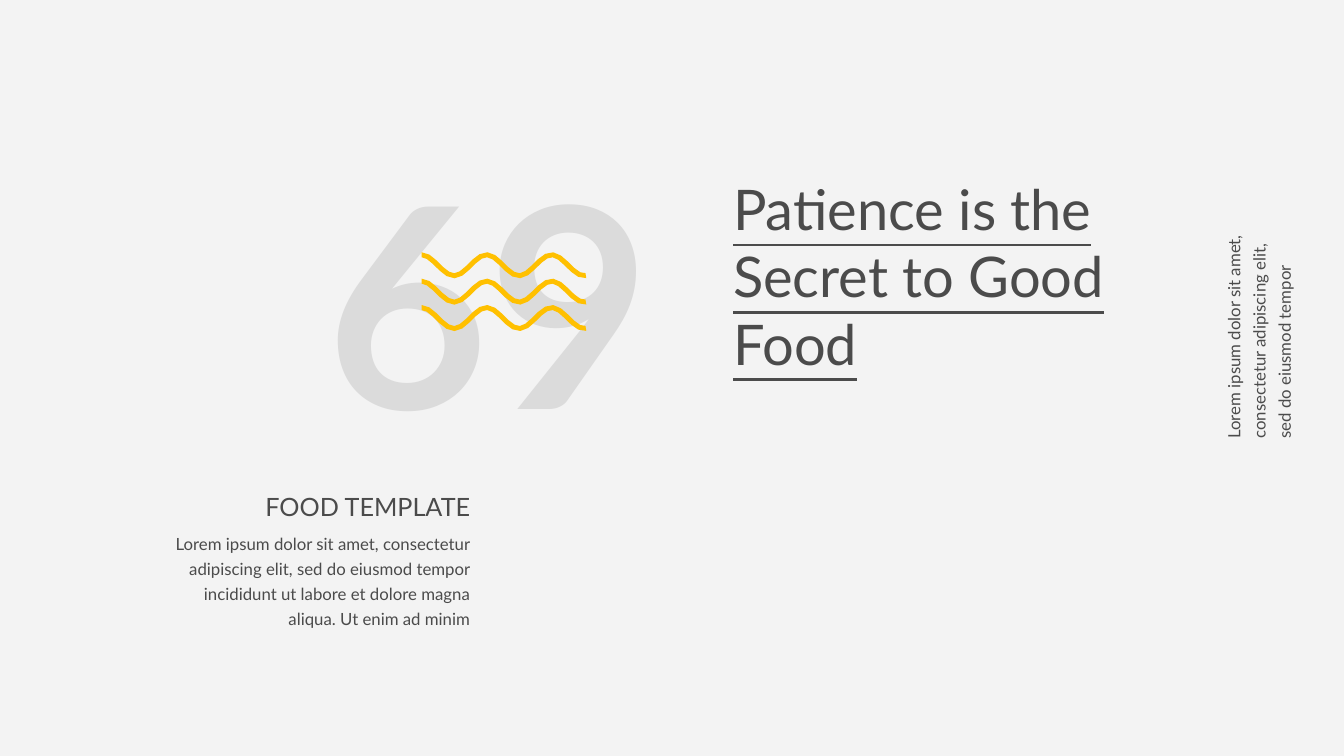
import math
from dataclasses import dataclass

import pptx
import pptx.dml.color
import pptx.enum.text
import pptx.util

Pt = pptx.util.Pt
ALIGN = pptx.enum.text.PP_ALIGN
COLORS = {"background": "F3F3F3", "text": "4B4B4B", "number": "DBDBDB", "wave": "FFC000"}
FONT = "Lato"


@dataclass
class Box:
    left: float
    top: float
    width: float
    height: float


@dataclass
class Wave:
    left: float
    top: float
    width: float = 117.4
    period: float = 46.5
    amplitude: float = 7.5
    thickness: float = 3.6


def rgb(name: str) -> pptx.dml.color.RGBColor:
    return pptx.dml.color.RGBColor.from_string(COLORS[name])


def write_text(sp, box: Box, text: str, *, size: float, color: str = "text",
               bold: bool = False, underline: bool = False, align=ALIGN.LEFT,
               spacing: float = 1.0, inset: tuple = (0, 0), wrap: bool = True,
               rotation: float = 0, tracking: int = 0) -> None:
    """Place a text shape and fill it with one formatted run."""
    sp.left, sp.top = Pt(box.left), Pt(box.top)
    sp.width, sp.height = Pt(box.width), Pt(box.height)
    sp.rotation = rotation
    tf = sp.text_frame
    tf.auto_size = pptx.enum.text.MSO_AUTO_SIZE.NONE
    tf.word_wrap = wrap
    tf.vertical_anchor = pptx.enum.text.MSO_ANCHOR.TOP
    tf.margin_left = tf.margin_right = Pt(inset[0])
    tf.margin_top = tf.margin_bottom = Pt(inset[1])
    p = tf.paragraphs[0]
    p.alignment = align
    p.line_spacing = spacing
    r = p.add_run()
    r.text = text
    r.font.name = FONT
    r.font.size = Pt(size)
    r.font.bold = bold
    r.font.underline = underline
    r.font.color.rgb = rgb(color)
    if tracking:
        r.font._element.set("spc", str(tracking))


def add_text(s, box: Box, text: str, **fmt) -> None:
    sp = s.shapes.add_textbox(0, 0, 0, 0)
    write_text(sp, box, text, **fmt)


def wave_edge(wave: Wave, side: int, steps: int = 25) -> list[tuple[int, int]]:
    """Points of one edge, half the thickness away from a cosine centre line."""
    points = []
    half = wave.thickness / 2
    middle = wave.top + half + wave.amplitude
    k = 2 * math.pi / wave.period
    for i in range(steps + 1):
        x = wave.width * i / steps
        y = middle - wave.amplitude * math.cos(k * x)
        slope = wave.amplitude * k * math.sin(k * x)
        offset = side * half / math.hypot(1, slope)
        points.append((Pt(wave.left + x - slope * offset), Pt(y + offset)))
    return points


def add_wave(shapes, wave: Wave) -> None:
    points = wave_edge(wave, -1) + wave_edge(wave, 1)[::-1]
    builder = shapes.build_freeform(*points[0], scale=1.0)
    builder.add_line_segments(points[1:], close=True)
    sp = builder.convert_to_shape()
    sp.shadow.inherit = False
    sp.fill.solid()
    sp.fill.fore_color.rgb = rgb("wave")
    sp.line.fill.background()


def main() -> None:
    prs = pptx.Presentation()
    prs.slide_width, prs.slide_height = Pt(960), Pt(540)
    s = prs.slides.add_slide(prs.slide_layouts[5])
    s.background.fill.solid()
    s.background.fill.fore_color.rgb = rgb("background")

    # Title
    write_text(s.shapes.title, Box(523.8, 124.8, 319, 145.4),
               "Patience is the Secret to Good Food", size=40, underline=True)

    # Large number
    add_text(s, Box(226.1, 135.4, 278.6, 200.9), "69", size=200, color="number",
             bold=True, spacing=0.8, inset=(7.2, 3.6), tracking=-10)

    # Heading and body text
    add_text(s, Box(117, 377.3, 218.9, 72.7),
             "Lorem ipsum dolor sit amet, consectetur adipiscing elit, sed do eiusmod "
             "tempor incididunt ut labore et dolore magna aliqua. Ut enim ad minim",
             size=12, align=ALIGN.RIGHT, spacing=1.25)
    add_text(s, Box(184.8, 351, 151.2, 21.6), "FOOD TEMPLATE",
             size=18, align=ALIGN.RIGHT, wrap=False)

    # Text running up the right edge
    add_text(s, Box(822.2, 210.4, 151.2, 54.7),
             "Lorem ipsum dolor sit amet, consectetur adipiscing elit, sed do eiusmod tempor",
             size=12, spacing=1.25, rotation=270)

    # Three waves across the number
    group = s.shapes.add_group_shape()
    for row in range(3):
        add_wave(group.shapes, Wave(left=301.1, top=180.2 + 18.85 * row))

    prs.save("out.pptx")


if __name__ == "__main__":
    main()
